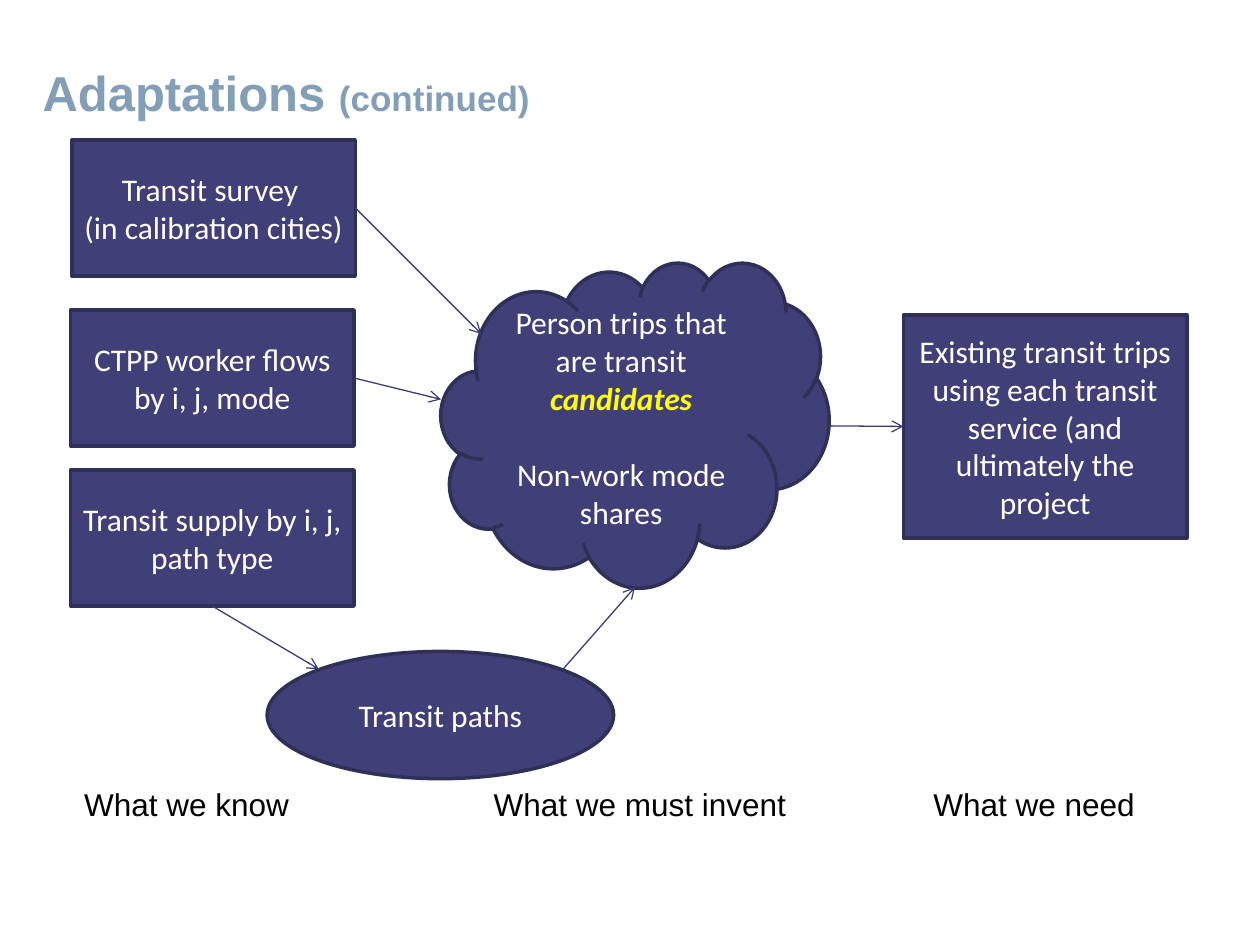
import pptx
import pptx.dml.color
import pptx.enum.shapes
import pptx.enum.text
import pptx.oxml.ns
import pptx.util
from lxml import etree
from pptx.util import Inches

PRESET = pptx.enum.shapes.MSO_SHAPE
ANCHOR = pptx.enum.text.MSO_ANCHOR


def color(value):
    return pptx.dml.color.RGBColor.from_string(value)


def style(paragraph, font_name, size, value):
    paragraph.font.name = font_name
    paragraph.font.size = pptx.util.Pt(size)
    paragraph.font.color.rgb = color(value)


presentation = pptx.Presentation()
presentation.slide_width = Inches(10)
presentation.slide_height = Inches(7.5)
slide = presentation.slides.add_slide(presentation.slide_layouts[6])

nodes = [
    ("cloud", PRESET.CLOUD, 3.5, 2.08, 3.08, 2.58, ["Person trips that are transit ", "Non-work mode shares"]),
    ("flows", PRESET.RECTANGLE, 0.56, 2.46, 2.25, 1.08, ["CTPP worker flows by i, j, mode"]),
    ("supply", PRESET.RECTANGLE, 0.56, 3.73, 2.25, 1.08, ["Transit supply by i, j, path type"]),
    ("survey", PRESET.RECTANGLE, 0.57, 1.11, 2.25, 1.08, ["Transit survey ", "(in calibration cities)"]),
    ("trips", PRESET.RECTANGLE, 7.17, 2.5, 2.25, 1.77,
     ["Existing transit trips using each transit service (and ultimately the project"]),
    ("paths", PRESET.OVAL, 2.12, 5.17, 2.75, 1.01, ["Transit paths"]),
]
shapes = {}
for name, preset, left, top, width, height, lines in nodes:
    shape = slide.shapes.add_shape(preset, Inches(left), Inches(top), Inches(width), Inches(height))
    shape.shadow.inherit = False
    shape.fill.solid()
    shape.fill.fore_color.rgb = color("413F77")
    shape.line.color.rgb = color("302F58")
    shape.line.width = pptx.util.Pt(2)
    frame = shape.text_frame
    frame.word_wrap = True
    frame.vertical_anchor = ANCHOR.MIDDLE
    frame.text = "\n".join(lines)
    for paragraph in frame.paragraphs:
        paragraph.alignment = pptx.enum.text.PP_ALIGN.CENTER
        style(paragraph, "Calibri", 18, "FFFFFF")
    shapes[name] = shape

person_trips, mode_shares = shapes["cloud"].text_frame.paragraphs
candidates = person_trips.add_run()
candidates.text = "candidates"
candidates.font.bold = True
candidates.font.italic = True
candidates.font.color.rgb = color("FFFF00")
mode_shares.space_before = pptx.util.Pt(22)

captions = [("What we know", 0.57, 2.11), ("What we must invent", 3.82, 2.85), ("What we need", 7.31, 2.11)]
for text, left, width in captions:
    caption = slide.shapes.add_textbox(Inches(left), Inches(6.18), Inches(width), Inches(0.4))
    caption.text_frame.word_wrap = True
    caption.text_frame.text = text
    style(caption.text_frame.paragraphs[0], "Arial", 18, "000000")

arrows = [
    (2.82, 1.65, 3.82, 2.65, ("survey", 3), None),
    (2.81, 3, 3.5, 3.17, ("flows", 3), None),
    (1.68, 4.81, 2.53, 5.31, ("supply", 2), None),
    (4.47, 5.31, 5.04, 4.66, None, None),
    (6.58, 3.38, 7.17, 3.39, None, ("trips", 1)),
]
for start_x, start_y, end_x, end_y, source, target in arrows:
    connector = slide.shapes.add_connector(
        pptx.enum.shapes.MSO_CONNECTOR.STRAIGHT,
        Inches(start_x), Inches(start_y), Inches(end_x), Inches(end_y))
    if source:
        connector.begin_connect(shapes[source[0]], source[1])
    if target:
        connector.end_connect(shapes[target[0]], target[1])
    connector.line.color.rgb = color("3E3C76")
    connector.line.width = pptx.util.Pt(0.75)
    etree.SubElement(connector.line._get_or_add_ln(), pptx.oxml.ns.qn("a:tailEnd"), type="arrow")
    etree.SubElement(connector._element.spPr, pptx.oxml.ns.qn("a:effectLst"))

title = slide.shapes.add_textbox(Inches(0.24), Inches(-0.01), Inches(9.5), Inches(1.02))
title.text_frame.word_wrap = True
title.text_frame.vertical_anchor = ANCHOR.BOTTOM
paragraph = title.text_frame.paragraphs[0]
style(paragraph, "Arial", 28, "839EB7")
paragraph.font.bold = True
paragraph.add_run().text = "Adaptations "
continued = paragraph.add_run()
continued.text = "(continued)"
continued.font.size = pptx.util.Pt(20)

presentation.save("out.pptx")
